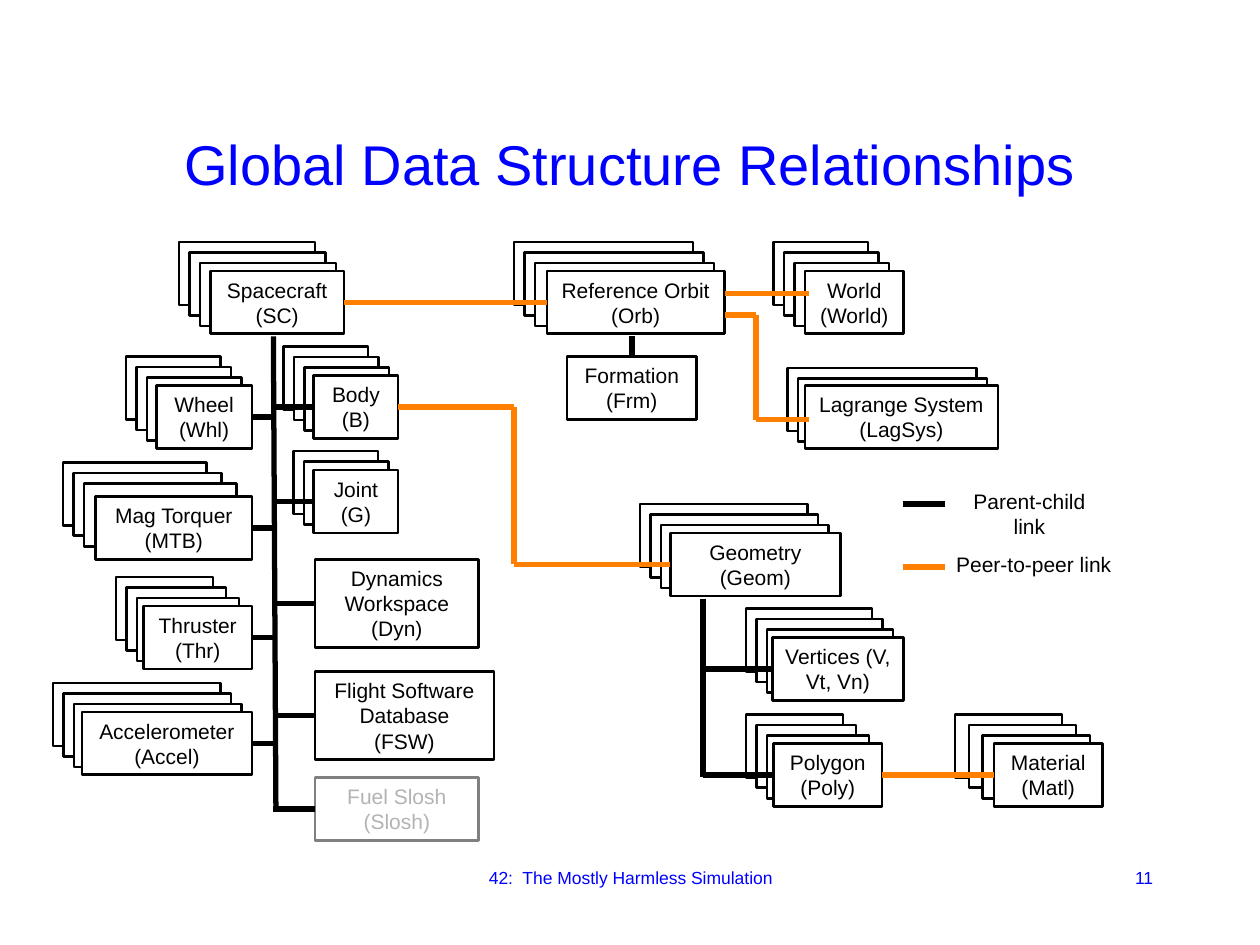
from lxml.etree import SubElement
from pptx import Presentation
from pptx.dml.color import RGBColor
from pptx.enum.shapes import MSO_CONNECTOR, MSO_SHAPE
from pptx.enum.text import MSO_ANCHOR, PP_ALIGN
from pptx.oxml.ns import qn
from pptx.util import Inches, Pt

BLACK, WHITE, BLUE, ORANGE = "000000", "FFFFFF", "0000FF", "FF8000"
GRAY, PALE = "808080", "B3B3B3"
TOP, LEFT, BOTTOM, RIGHT = range(4)
STEP = 1 / 12
HIGH = 0.5

# name: text, front (left, top, width), back (left, top, width), count, step, growth
STACKS = {
    "SC": ("Spacecraft (SC)", (1.67, 2.15, 1.06), (1.42, 1.92, 1.08), 3, STEP, 0),
    "B": ("Body (B)", (2.49, 2.98, 0.67), (2.25, 2.75, 0.67), 3, STEP, 0),
    "G": ("Joint (G)", (2.49, 3.73, 0.67), (2.33, 3.58, 0.67), 2, STEP, 0),
    "Whl": ("Wheel (Whl)", (1.24, 3.06, 0.76), (1, 2.83, 0.75), 3, STEP, 0),
    "MTB": ("Mag Torquer (MTB)", (0.76, 3.94, 1.24), (0.5, 3.67, 1.14), 3, STEP, 0.035),
    "Thr": ("Thruster (Thr)", (1.14, 4.81, 0.86), (0.92, 4.58, 0.77), 3, STEP, 0.02),
    "Accel": ("Accelerometer (Accel)", (0.65, 5.65, 1.35), (0.42, 5.42, 1.33), 3, STEP, 0),
    "Orb": ("Reference Orbit (Orb)", (4.34, 2.15, 1.41), (4.08, 1.92, 1.42), 3, STEP, 0),
    "Geom": ("Geometry (Geom)", (5.32, 4.23, 1.35), (5.08, 4, 1.33), 3, STEP, 0),
    "Vert": ("Vertices (V, Vt, Vn)", (6.13, 5.06, 1.04), (5.92, 4.83, 1), 3, STEP, 0),
    "Poly": ("Polygon (Poly)", (6.14, 5.9, 0.86), (5.92, 5.67, 0.77), 3, STEP, 0.02),
    "Matl": ("Material (Matl)", (7.89, 5.9, 0.86), (7.58, 5.67, 0.85), 3, 0.11, 0),
    "World": ("World (World)", (6.39, 2.15, 0.78), (6.14, 1.92, 0.75), 3, STEP, 0),
    "LagSys": ("Lagrange System (LagSys)", (6.39, 3.06, 1.53), (6.25, 2.92, 1.5), 2, STEP, 0),
}
# name: text, (left, top, width, height), fill, line, ink
SINGLES = {
    "Dyn": ("Dynamics Workspace (Dyn)", (2.5, 4.44, 1.3, 0.7), WHITE, BLACK, BLACK),
    "FSW": ("Flight Software Database (FSW)", (2.5, 5.33, 1.42, 0.7), None, BLACK, BLACK),
    "Frm": ("Formation (Frm)", (4.5, 2.83, 1.03, HIGH), None, BLACK, BLACK),
    "Slosh": ("Fuel Slosh (Slosh)", (2.5, 6.17, 1.3, HIGH), WHITE, GRAY, PALE),
}
BUS = 2.17
RUNGS = [("Whl", RIGHT), ("MTB", RIGHT), ("Thr", RIGHT), ("Accel", RIGHT), ("B", LEFT),
         ("G", LEFT), ("Dyn", LEFT), ("FSW", LEFT), ("Slosh", LEFT)]
# an end is a (box, side) pair or a point; None takes the value of the other end
PARENT = [
    ((BUS, 2.67), (2.19, 6.42)),
    *[((BUS, None), rung) for rung in RUNGS],
    ((5.58, 4.75), (5.58, 6.17)),
    ((5.58, None), ("Vert", LEFT)),
    ((5.58, None), ("Poly", LEFT)),
    ((None, 2.67), ("Frm", TOP)),
    ((7.17, 4), (7.5, 4)),
]
PEER = [
    (("SC", RIGHT), ("Orb", LEFT)),
    (("B", RIGHT), (4.08, None)),
    ((4.08, 3.23), (4.08, 4.48)),
    ((4.08, None), ("Geom", LEFT)),
    (("Poly", RIGHT), ("Matl", LEFT)),
    ((5.75, 2.33), (6.42, 2.33)),
    ((6.42, 3.33), (6, 3.33)),
    ((6, 3.33), (6, 2.5)),
    ((6, 2.5), (5.75, 2.5)),
    ((7.17, 4.5), (7.5, 4.5)),
]
LABELS = [
    ("Global Data Structure Relationships", (0.75, 0.67, 8.5, 1.25),
     dict(size=32, ink=BLUE, anchor=MSO_ANCHOR.MIDDLE)),
    ("Parent-child link", (7.48, 3.83, 1.38, 0.3), dict(wrap=False)),
    ("Peer-to-peer link", (7.49, 4.33, 1.43, 0.3), dict(wrap=False)),
    ("42:  The Mostly Harmless Simulation", (3.42, 6.83, 3.17, 0.5),
     dict(size=10, ink=BLUE)),
    ("11", (7.17, 6.83, 2.08, 0.5), dict(size=10, ink=BLUE, align=PP_ALIGN.RIGHT)),
]


def color(code):
    return RGBColor.from_string(code)


def write(shape, text, size=12, ink=BLACK, align=PP_ALIGN.CENTER,
          anchor=MSO_ANCHOR.TOP, wrap=True):
    frame = shape.text_frame
    frame.word_wrap = wrap
    frame.vertical_anchor = anchor
    para = frame.paragraphs[0]
    para.alignment = align
    run = para.add_run()
    run.text = text
    run.font.name = "Arial"
    run.font.size = Pt(size)
    run.font.color.rgb = color(ink)


def draw_box(shapes, area, fill=WHITE, line=BLACK):
    box = shapes.add_shape(MSO_SHAPE.RECTANGLE, *map(Inches, area))
    box.shadow.inherit = False
    if fill:
        box.fill.solid()
        box.fill.fore_color.rgb = color(fill)
    else:
        box.fill.background()
    box.line.color.rgb = color(line)
    box.line.width = Pt(1.5)
    return box


def draw_stack(shapes, text, front, back, count, step, grow):
    group = shapes.add_group_shape().shapes
    left, top, width = back
    for i in range(count):
        draw_box(group, (left + i * step, top + i * STEP, width + i * grow, HIGH))
    box = draw_box(group, (*front, HIGH))
    write(box, text)
    return box


def locate(end, boxes):
    if end[0] not in boxes:
        return [None if v is None else Inches(v) for v in end]
    box, side = boxes[end[0]], end[1]
    x = {LEFT: 0, RIGHT: box.width}.get(side, box.width // 2)
    y = {TOP: 0, BOTTOM: box.height}.get(side, box.height // 2)
    return [box.left + x, box.top + y]


def draw_link(shapes, boxes, start, stop, ink):
    a, b = locate(start, boxes), locate(stop, boxes)
    head = [q if p is None else p for p, q in zip(a, b)]
    tail = [p if q is None else q for p, q in zip(a, b)]
    link = shapes.add_connector(MSO_CONNECTOR.STRAIGHT, *head, *tail)
    link.line.color.rgb = color(ink)
    link.line.width = Pt(3)
    SubElement(link._element.spPr, qn("a:effectLst"))
    for end, join in ((start, link.begin_connect), (stop, link.end_connect)):
        if end[0] in boxes:
            join(boxes[end[0]], end[1])


def main():
    deck = Presentation()
    deck.slide_width, deck.slide_height = Inches(10), Inches(7.5)
    shapes = deck.slides.add_slide(deck.slide_layouts[6]).shapes
    boxes = {name: draw_stack(shapes, *stack) for name, stack in STACKS.items()}
    for name, (text, area, fill, line, ink) in SINGLES.items():
        boxes[name] = draw_box(shapes, area, fill, line)
        write(boxes[name], text, ink=ink)
    for links, ink in ((PARENT, BLACK), (PEER, ORANGE)):
        for start, stop in links:
            draw_link(shapes, boxes, start, stop, ink)
    for text, area, style in LABELS:
        write(shapes.add_textbox(*map(Inches, area)), text, **style)
    deck.save("out.pptx")


if __name__ == "__main__":
    main()
